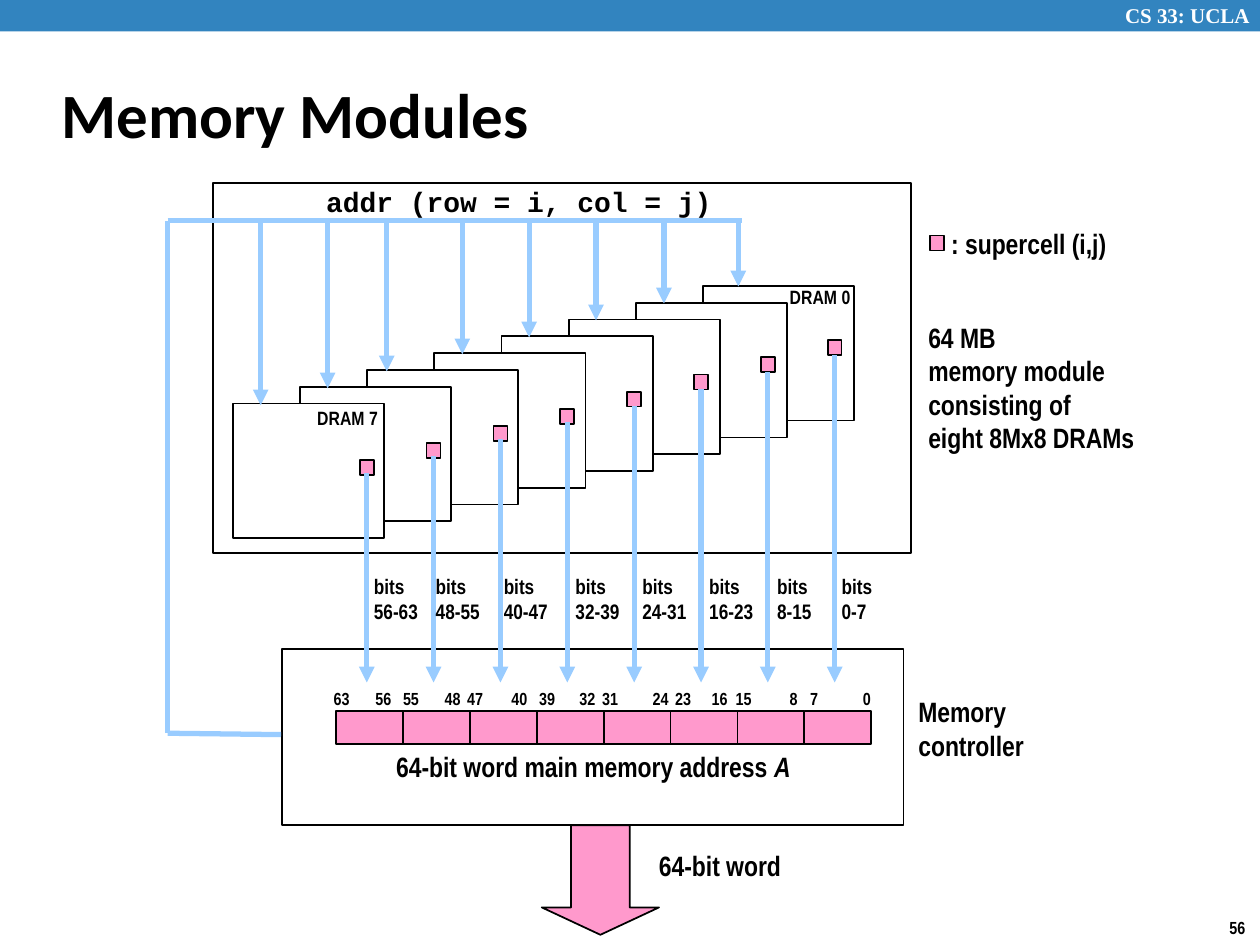
from dataclasses import dataclass

from lxml import etree
from pptx import Presentation
from pptx.dml.color import RGBColor
from pptx.enum import shapes, text
from pptx.oxml import ns
from pptx.util import Pt


@dataclass(frozen=True)
class Theme:
    ink: str = "000000"
    paper: str = "FFFFFF"
    banner: str = "3284BF"
    cell: str = "FF99CC"
    wire: str = "99CCFF"
    body: str = "Arial Narrow"
    serif: str = "Times New Roman"
    heading: str = "Calibri"
    code: str = "Courier New"
    title_size: float = 36
    label_size: float = 16
    small_size: float = 12
    chip_size: float = 11
    tiny_size: float = 10
    outline: float = 1
    wire_width: float = 3


@dataclass(frozen=True)
class Box:
    x: float
    y: float
    w: float
    h: float

    def inner(self, x, y, w, h):
        """A box placed relative to this one's top left corner."""
        return Box(self.x + x, self.y + y, w, h)

    def lengths(self):
        return [Pt(value) for value in (self.x, self.y, self.w, self.h)]


THEME = Theme()
CHIPS = range(8)
PITCH = 38.2  # horizontal step from one memory chip to the next
PRESET = shapes.MSO_SHAPE


def colour(code):
    return RGBColor.from_string(code)


def add_block(page, box, fill, outlined=True, preset=PRESET.RECTANGLE):
    block = page.shapes.add_shape(preset, *box.lengths())
    block.shadow.inherit = False
    block.fill.solid()
    block.fill.fore_color.rgb = colour(fill)
    if outlined:
        block.line.color.rgb = colour(THEME.ink)
        block.line.width = Pt(THEME.outline)
    else:
        block.line.fill.background()
    return block


def add_label(page, box, lines, size=THEME.label_size, font=THEME.body,
              ink=THEME.ink, align=text.PP_ALIGN.LEFT, wrap=False):
    """Each line is a string, or a list of (string, italic) spans."""
    frame = page.shapes.add_textbox(*box.lengths()).text_frame
    fit = text.MSO_AUTO_SIZE
    frame_format = {
        "word_wrap": wrap,
        "auto_size": fit.NONE if wrap else fit.SHAPE_TO_FIT_TEXT,
        "vertical_anchor": text.MSO_ANCHOR.MIDDLE,
    }
    for name, value in frame_format.items():
        setattr(frame, name, value)
    for index, line in enumerate(lines):
        para = frame.paragraphs[0] if index == 0 else frame.add_paragraph()
        para.alignment = align
        for words, italic in [(line, False)] if isinstance(line, str) else line:
            span = para.add_run()
            span.text = words
            span_format = {"name": font, "size": Pt(size), "bold": True, "italic": italic}
            for name, value in span_format.items():
                setattr(span.font, name, value)
            span.font.color.rgb = colour(ink)


def add_wire(page, box, start, end, arrow=False):
    """Start and end are points relative to the box."""
    ends = [Pt(box_edge + offset) for point in (start, end)
            for box_edge, offset in zip((box.x, box.y), point)]
    wire = page.shapes.add_connector(shapes.MSO_CONNECTOR.STRAIGHT, *ends)
    wire.line.color.rgb = colour(THEME.wire)
    wire.line.width = Pt(THEME.wire_width)
    properties = wire._element.spPr
    if arrow:
        outline = properties.find(ns.qn("a:ln"))
        etree.SubElement(outline, ns.qn("a:tailEnd"), type="triangle")
    etree.SubElement(properties, ns.qn("a:effectLst"))


def draw_header(page, box):
    add_block(page, box.inner(0, 0, box.w, 18), THEME.banner, outlined=False)
    add_label(page, box.inner(635.8, -2, 89, 21.6), ["CS 33: UCLA"],
              THEME.small_size, THEME.serif, THEME.paper)
    add_label(page, box.inner(28, 34.6, 597.6, 59.8), ["Memory Modules"],
              THEME.title_size, THEME.heading, wrap=True)


def draw_module(page, box):
    add_block(page, box, THEME.paper)
    for chip in CHIPS:
        add_block(page, box.inner(280.1 - 38.4 * chip, 59 + 9.6 * chip, 86.4, 77), THEME.paper)
    add_label(page, box.inner(52.5, 123.8, 49.7, 20.9), ["DRAM 7"], THEME.chip_size)
    add_label(page, box.inner(322.5, 54.7, 49.7, 20.9), ["DRAM 0"], THEME.chip_size)


def draw_address_bus(page, box):
    bus_y, left, low = 21.6, -25.9, 314.6
    drops = [300.2, 257.7, 218.9, 180.7, 142.5, 99.3, 65.5, 27.3]
    # Loop back from the controller
    add_wire(page, box, (38.9, low + 0.8), (left, low))
    add_wire(page, box, (left, low), (left, bus_y))
    add_wire(page, box, (left, bus_y), (302.4, bus_y))
    # One drop to each chip
    for chip, x in enumerate(drops):
        add_wire(page, box, (x, bus_y), (x, 59.3 + 9.7 * chip), arrow=True)
    add_label(page, box.inner(57.6, -2.9, 236.2, 26.6), ["addr (row = i, col = j)"],
              font=THEME.code)


def draw_data_paths(page, box):
    label_lefts = [352.1, 315.3, 276.5, 238.3, 200.1, 159.1, 120.2, 84.9]
    for chip, label_left in enumerate(label_lefts):
        x, first_bit = 351.3 - PITCH * chip, 8 * chip
        add_block(page, box.inner(x, 90 + 9.8 * chip, 8, 8.6), THEME.cell)
        add_wire(page, box, (x + 4, 98.6 + 9.6 * chip), (x + 4, 285.6), arrow=True)
        add_label(page, box.inner(label_left, 219.6, 45.4, 36),
                  ["bits", f"{first_bit}-{first_bit + 7}"], THEME.small_size)


def draw_controller(page, box):
    add_block(page, box, THEME.paper)
    add_label(page, box.inner(356.4, 22.3, 88.6, 46), ["Memory", "controller"])
    add_label(page, box.inner(55.4, 54, 244.8, 26.6),
              [[("64-bit word main memory address ", False), ("A", True)]],
              align=text.PP_ALIGN.CENTER)


def draw_register(page, box):
    high_lefts = [294.5, 252, 217.4, 175.7, 139.7, 98.6, 61.9, 22.3]
    low_lefts = [324.7, 282.9, 238.3, 204.5, 162.7, 123.8, 85.7, 46.1]
    for chip, lefts in enumerate(zip(high_lefts, low_lefts)):
        add_block(page, box.inner(298.1 - PITCH * chip, 35.3, 38.4, 19.2), THEME.cell)
        for left, bit in zip(lefts, (8 * chip + 7, 8 * chip)):
            width = 20.2 if bit < 10 else 25.2
            add_label(page, box.inner(left, 18.7, width, 19.4), [str(bit)], THEME.tiny_size)
    # Word sent out
    arrow = add_block(page, box.inner(148.3, box.h, 67, 62.6), THEME.cell,
                      preset=PRESET.DOWN_ARROW)
    arrow.adjustments[0], arrow.adjustments[1] = 0.5, 0.25
    add_label(page, box.inner(208.1, 110.2, 85, 26.6), ["64-bit word"])


def draw_legend(page, box):
    add_block(page, box.inner(8, 8.6, 8, 8.6), THEME.cell)
    add_label(page, box.inner(13, 0, 123.1, 26.6), [": supercell (i,j)"])
    add_label(page, box.inner(0, 53.3, box.w, 84.2),
              ["64 MB", "memory module", "consisting of", "eight 8Mx8 DRAMs"])


def main():
    deck = Presentation()
    sheet = Box(0, 0, 720, 540)
    deck.slide_width, deck.slide_height = Pt(sheet.w), Pt(sheet.h)
    page = deck.slides.add_slide(deck.slide_layouts[6])
    module = Box(121.7, 104.4, 398.9, 211.7)
    controller = Box(161.3, 370.8, 355, 100.8)

    draw_header(page, sheet)
    draw_module(page, module)
    draw_controller(page, controller)
    draw_address_bus(page, module)
    draw_data_paths(page, module)
    draw_register(page, controller)
    draw_legend(page, Box(523.4, 126, 158.4, 137.5))
    # Page number
    add_label(page, sheet.inner(695.5, 520.6, 24.5, 19.4), ["56"], THEME.tiny_size)
    deck.save("out.pptx")


if __name__ == "__main__":
    main()
